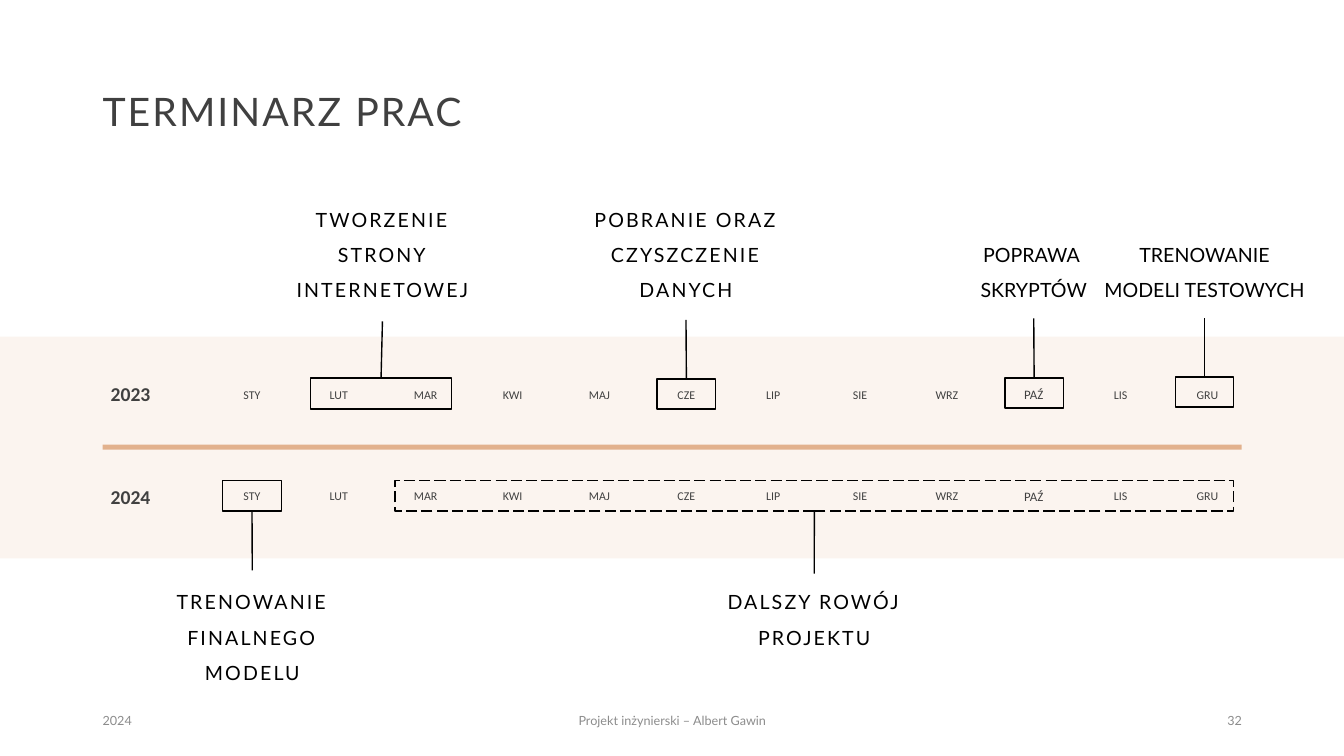
from lxml import etree
from pptx import Presentation
from pptx.dml.color import RGBColor
from pptx.enum.dml import MSO_LINE
from pptx.enum.shapes import MSO_CONNECTOR, MSO_SHAPE
from pptx.enum.text import MSO_ANCHOR, PP_ALIGN
from pptx.oxml.ns import qn
from pptx.util import Pt

RECT = MSO_SHAPE.RECTANGLE
STRAIGHT = MSO_CONNECTOR.STRAIGHT
LONG_DASH = MSO_LINE.LONG_DASH
TOP, MIDDLE, BOTTOM = MSO_ANCHOR.TOP, MSO_ANCHOR.MIDDLE, MSO_ANCHOR.BOTTOM
LEFT, CENTER, RIGHT = PP_ALIGN.LEFT, PP_ALIGN.CENTER, PP_ALIGN.RIGHT

BLACK, DARK, GREY = "000000", "404040", "8C8C8C"
CREAM, SAND = "FBF4EF", "E2B18D"
MONTHS = ["STY", "LUT", "MAR", "KWI", "MAJ", "CZE",
          "LIP", "SIE", "WRZ", "PAŹ", "LIS", "GRU"]
MONTH_X, MONTH_STEP, MONTH_W = 154.8, 62.05, 50.4
LABEL_W, LABEL_H = 162, 43.9
LABEL_ABOVE, LABEL_BELOW = 175, 409.7

# year, year top, month top
YEARS = [("2023", 264.2, 275.8), ("2024", 337.7, 348.5)]
# text, label centre, line's outer end, box (left, top, width, height), letter spacing
TASKS_2023 = [
    ("TWORZENIE STRONY INTERNETOWEJ", 273.2, 229.5, (221.8, 270, 100.8, 22.3), 1.5),
    ("POBRANIE ORAZ CZYSZCZENIE DANYCH", 490, 228.5, (469.4, 270.7, 41.8, 21.6), 1.5),
    ("POPRAWA \nSKRYPTÓW", 738.4, 227.5, (717.8, 270, 41.8, 21.6), 0),
    ("TRENOWANIE MODELI TESTOWYCH", 860.4, 227.5, (839.5, 269.3, 41.8, 21.6), 0),
]
TASKS_2024 = [
    ("TRENOWANIE FINALNEGO MODELU", 180.2, 407.5, (159.1, 343.4, 41.8, 21.6), 1.5),
    ("DALSZY ROWÓJ PROJEKTU", 581.6, 409.7, (282.2, 343.4, 599, 21.6), 1.5),
]


def rgb(color):
    """Turn a hex string into a colour."""
    return RGBColor.from_string(color)


def add_rect(s, x, y, w, h, fill=None, line=None, dash=None):
    """Add a rectangle with an optional fill and outline."""
    sp = s.shapes.add_shape(RECT, Pt(x), Pt(y), Pt(w), Pt(h))
    sp.shadow.inherit = False
    if fill:
        sp.fill.solid()
        sp.fill.fore_color.rgb = rgb(fill)
    else:
        sp.fill.background()
    if line:
        sp.line.color.rgb = rgb(line)
        sp.line.width = Pt(1)
        sp.line.dash_style = dash
    else:
        sp.line.fill.background()
    return sp


def add_text(s, text, x, y, w, h, size, color, font="Lato", align=LEFT, anchor=TOP,
             leading=1.0, before=0, spacing=0, bold=False):
    """Add a wrapped one-paragraph text box."""
    tf = s.shapes.add_textbox(Pt(x), Pt(y), Pt(w), Pt(h)).text_frame
    tf.word_wrap = True
    tf.vertical_anchor = anchor
    p = tf.paragraphs[0]
    p.alignment = align
    p.line_spacing = leading
    p.space_before = Pt(before)
    for i, part in enumerate(text.split("\n")):
        if i:
            p.add_line_break()
        r = p.add_run()
        r.text = part
        r.font.name = font
        r.font.size = Pt(size)
        r.font.bold = bold
        r.font.color.rgb = rgb(color)
        if spacing:
            r.font._element.set("spc", str(int(spacing * 100)))


def add_year(s, year, year_y, month_y):
    """Add a year heading and its row of months."""
    add_text(s, year, 72, year_y, 57.6, 36, 14, DARK, "Calibri",
             anchor=MIDDLE, leading=0.9, before=10, bold=True)
    for i, month in enumerate(MONTHS):
        size = 9.2 if month == "PAŹ" else 8.5
        add_text(s, month, MONTH_X + i * MONTH_STEP, month_y, MONTH_W, 15.8, size, DARK,
                 "Calibri", align=CENTER, leading=0.7, before=10)


def add_task(s, text, cx, line_y, box, spacing, above, dash=None):
    """Add a task label, its month box and the line joining them."""
    y, anchor, site = (LABEL_ABOVE, BOTTOM, 0) if above else (LABEL_BELOW, TOP, 2)
    add_text(s, text, cx - LABEL_W / 2, y, LABEL_W, LABEL_H, 14, BLACK, align=CENTER,
             anchor=anchor, leading=1.5, before=10, spacing=spacing)
    sp = add_rect(s, *box, line=BLACK, dash=dash)
    line = s.shapes.add_connector(STRAIGHT, Pt(cx), Pt(line_y), Pt(cx), Pt(box[1]))
    line.end_connect(sp, site)
    line.line.color.rgb = rgb(BLACK)
    line.line.width = Pt(1)
    etree.SubElement(line._element.spPr, qn("a:effectLst"))


def main():
    """Build the work schedule slide."""
    prs = Presentation()
    prs.slide_width, prs.slide_height = Pt(960), Pt(540)
    s = prs.slides.add_slide(prs.slide_layouts[6])
    add_rect(s, 0, 240.5, 960, 158.4, fill=CREAM)
    add_rect(s, 73.4, 317.5, 813.6, 3.6, fill=SAND)
    add_text(s, "TERMINARZ PRAC", 66.2, 28.8, 828, 104.4, 28, DARK,
             anchor=MIDDLE, leading=0.9, spacing=1.5)
    for row in YEARS:
        add_year(s, *row)
    for task in TASKS_2023:
        add_task(s, *task, above=True)
    for task, dash in zip(TASKS_2024, (None, LONG_DASH)):
        add_task(s, *task, above=False, dash=dash)
    for text, x, w, align in [("2024", 66.2, 216, LEFT),
                              ("Projekt inżynierski – Albert Gawin", 318.2, 324, CENTER),
                              ("32", 678.2, 216, RIGHT)]:
        add_text(s, text, x, 500.4, w, 28.8, 9, GREY, align=align, anchor=MIDDLE)
    prs.save("out.pptx")


if __name__ == "__main__":
    main()
